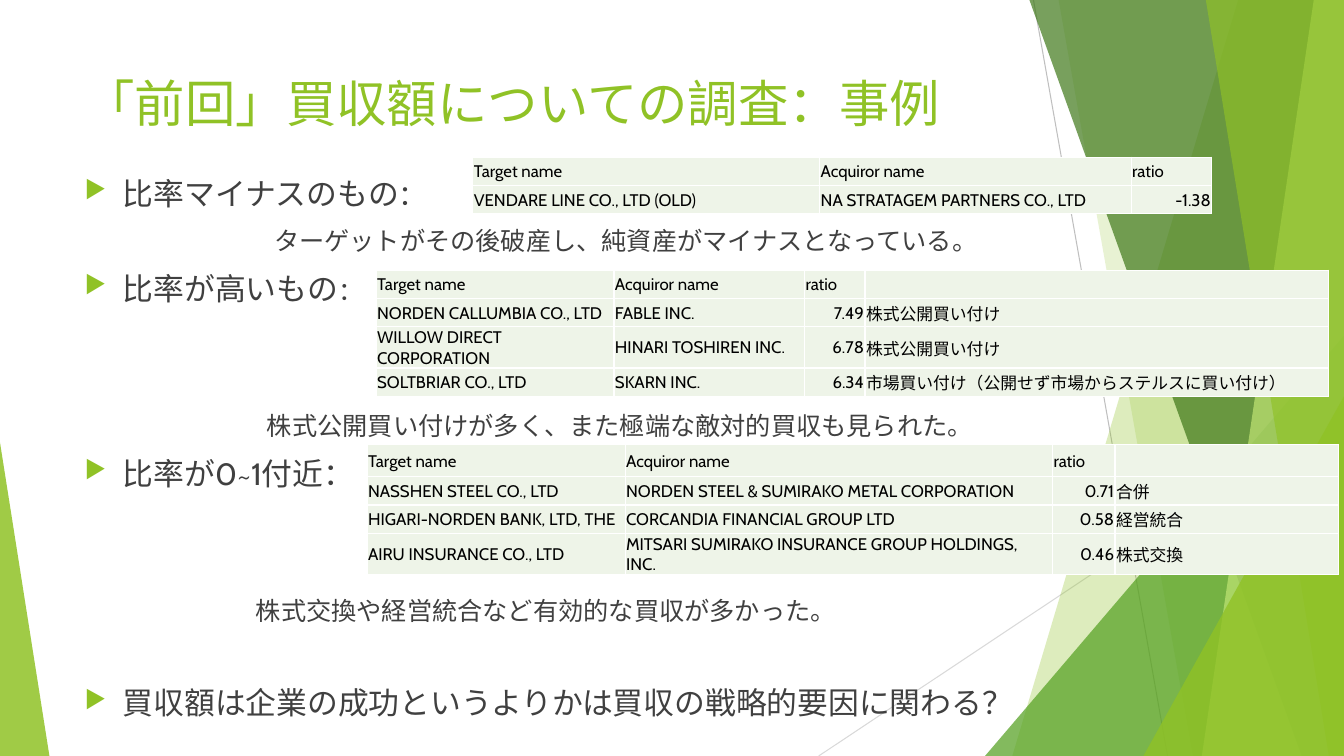
from lxml.etree import SubElement
from pptx import Presentation
from pptx.dml.color import RGBColor
from pptx.enum.shapes import MSO_CONNECTOR, MSO_SHAPE
from pptx.enum.text import MSO_ANCHOR, PP_ALIGN
from pptx.oxml.ns import qn
from pptx.util import Inches, Pt

FONT = "Cabin"
GREEN = "90C226"


def color(code):
    return RGBColor.from_string(code)


def style(para, size, code):
    para.font.name = FONT
    para.font.size = Pt(size)
    para.font.color.rgb = color(code)


deck = Presentation()
deck.slide_width, deck.slide_height = Inches(13.33), Inches(7.5)
slide = deck.slides.add_slide(deck.slide_layouts[6])
shapes = slide.shapes

# Thin background lines
for x1, y1, x2, y2, code in [
    (10.25, 0, 11.58, 7.5, "BFBFBF"),
    (13.33, 4.03, 8.12, 7.5, "D9D9D9"),
]:
    line = shapes.add_connector(
        MSO_CONNECTOR.STRAIGHT, Inches(x1), Inches(y1), Inches(x2), Inches(y2))
    line.line.color.rgb = color(code)
    line.line.width = Pt(0.75)
    SubElement(line._element.spPr, qn("a:effectLst"))

# Green facets: a band has its left edge's top and bottom x and runs to the
# right border; a triangle has left, top, width and apex, and stands on the bottom
facets = [
    ("band", (12.28, 10.04), GREEN, 30),
    ("band", (10.5, 11.83), GREEN, 20),
    ("triangle", (9.77, 3.33, 3.56, 1), "54A021", 72),
    ("band", (10.21, 12.91), "3F7819", 70),
    ("band", (13.03, 11.92), "C0E474", 70),
    ("band", (11.96, 13.18), GREEN, 65),
    ("triangle", (11.34, 3.93, 1.99, 1), GREEN, 80),
    ("triangle", (0, 4.39, 0.49, 0), GREEN, 85),
]
for kind, place, code, alpha in facets:
    if kind == "band":
        high, low = place
        pen = shapes.build_freeform(Inches(high), 0, 1.0)
        pen.add_line_segments([
            (Inches(13.33), 0), (Inches(13.33), Inches(7.5)),
            (Inches(low), Inches(7.5))])
        facet = pen.convert_to_shape()
    else:
        left, top, width, apex = place
        facet = shapes.add_shape(
            MSO_SHAPE.ISOSCELES_TRIANGLE, Inches(left), Inches(top),
            Inches(width), Inches(7.5 - top))
        facet.adjustments[0] = apex
    facet.shadow.inherit = False
    facet.line.fill.background()
    facet.fill.solid()
    facet.fill.fore_color.rgb = color(code)
    tint = facet._element.spPr.find(qn("a:solidFill")).find(qn("a:srgbClr"))
    SubElement(tint, qn("a:alpha"), val=str(alpha * 1000))

# Title
title = shapes.add_textbox(Inches(0.74), Inches(0.67), Inches(9.4), Inches(1.44))
title.text_frame.word_wrap = True
title.text_frame.text = "「前回」買収額についての調査：事例"
style(title.text_frame.paragraphs[0], 36, GREEN)

# Body: runs with sizes, indent of a note (None for a bullet), space before
points = [
    ([("比率マイナスのもの", 22), ("：", 20)], None, 10),
    ([("ターゲットがその後破産し、純資産がマイナスとなっている。", 18)], 1.88, 10),
    ([("比率が高いもの", 22), ("：", 18)], None, 10),
    ([("株式公開買い付けが多く、また極端な敵対的買収も見られた。", 18)], 1.81, 74),
    ([("比率が0~1付近：", 22)], None, 10),
    ([("株式交換や経営統合など有効的な買収が多かった。", 18)], 1.7, 74),
    ([("買収額は企業の成功というよりかは買収の戦略的要因に関わる？", 22)], None, 42),
]
body = shapes.add_textbox(Inches(0.74), Inches(1.68), Inches(10.13), Inches(5.66))
frame = body.text_frame
frame.word_wrap = True
for row, (parts, indent, gap) in enumerate(points):
    para = frame.add_paragraph() if row else frame.paragraphs[0]
    para.space_before = Pt(gap if row else 0)
    props = para._p.get_or_add_pPr()
    if indent is None:
        props.set("marL", str(Inches(0.38)))
        props.set("indent", str(-Inches(0.38)))
        tone = SubElement(props, qn("a:buClr"))
        SubElement(tone, qn("a:srgbClr"), val=GREEN)
        SubElement(props, qn("a:buSzPct"), val="80000")
        SubElement(props, qn("a:buChar"), char="▶")
    else:
        props.set("marL", str(Inches(indent)))
    style(para, parts[0][1], "404040")
    for text, size in parts:
        run = para.add_run()
        run.text = text
        if size != parts[0][1]:
            run.font.size = Pt(size)

# Deal tables: left, top, column widths, head row height, rows
head = ["Target name", "Acquiror name", "ratio"]
tables = [
    (3.73, 2.68, [2.36, 1.89, 0.6, 4.6], 0.28, [
        head + [""],
        ["NORDEN CALLUMBIA CO., LTD", "FABLE INC.", "7.49", "株式公開買い付け"],
        ["WILLOW DIRECT CORPORATION", "HINARI TOSHIREN INC.", "6.78", "株式公開買い付け"],
        ["SOLTBRIAR CO., LTD", "SKARN INC.", "6.34",
         "市場買い付け（公開せず市場からステルスに買い付け）"],
    ]),
    (3.64, 4.41, [2.56, 4.24, 0.62, 2.22], 0.32, [
        head + [""],
        ["NASSHEN STEEL CO., LTD", "NORDEN STEEL & SUMIRAKO METAL CORPORATION",
         "0.71", "合併"],
        ["HIGARI-NORDEN BANK, LTD, THE", "CORCANDIA FINANCIAL GROUP LTD",
         "0.58", "経営統合"],
        ["AIRU INSURANCE CO., LTD", "MITSARI SUMIRAKO INSURANCE GROUP HOLDINGS, INC.",
         "0.46", "株式交換"],
    ]),
    (4.69, 1.56, [3.44, 3.09, 0.8], 0.28, [
        head,
        ["VENDARE LINE CO., LTD (OLD)", "NA STRATAGEM PARTNERS CO., LTD", "-1.38"],
    ]),
]
for left, top, widths, first, rows in tables:
    heights = [first] + [0.28] * (len(rows) - 1)
    grid = shapes.add_table(
        len(rows), len(widths), Inches(left), Inches(top),
        Inches(sum(widths)), Inches(sum(heights))).table
    grid.first_row = grid.horz_banding = False
    for col, width in zip(grid.columns, widths):
        col.width = Inches(width)
    for r, texts in enumerate(rows):
        grid.rows[r].height = Inches(heights[r])
        for c, text in enumerate(texts):
            cell = grid.cell(r, c)
            cell.text = text
            cell.vertical_anchor = MSO_ANCHOR.MIDDLE
            cell.margin_left = cell.margin_right = cell.margin_top = Inches(0.01)
            cell.margin_bottom = 0
            para = cell.text_frame.paragraphs[0]
            style(para, 12, "000000")
            if r and c == 2:
                para.alignment = PP_ALIGN.RIGHT
            for side in ("lnL", "lnR", "lnT", "lnB"):
                edge = SubElement(
                    cell._tc.get_or_add_tcPr(), qn("a:" + side), w=str(Pt(1)))
                paint = SubElement(edge, qn("a:solidFill"))
                SubElement(paint, qn("a:srgbClr"), val="FFFFFF")
            cell.fill.solid()
            cell.fill.fore_color.rgb = color("EEF4E8")

deck.save("out.pptx")
